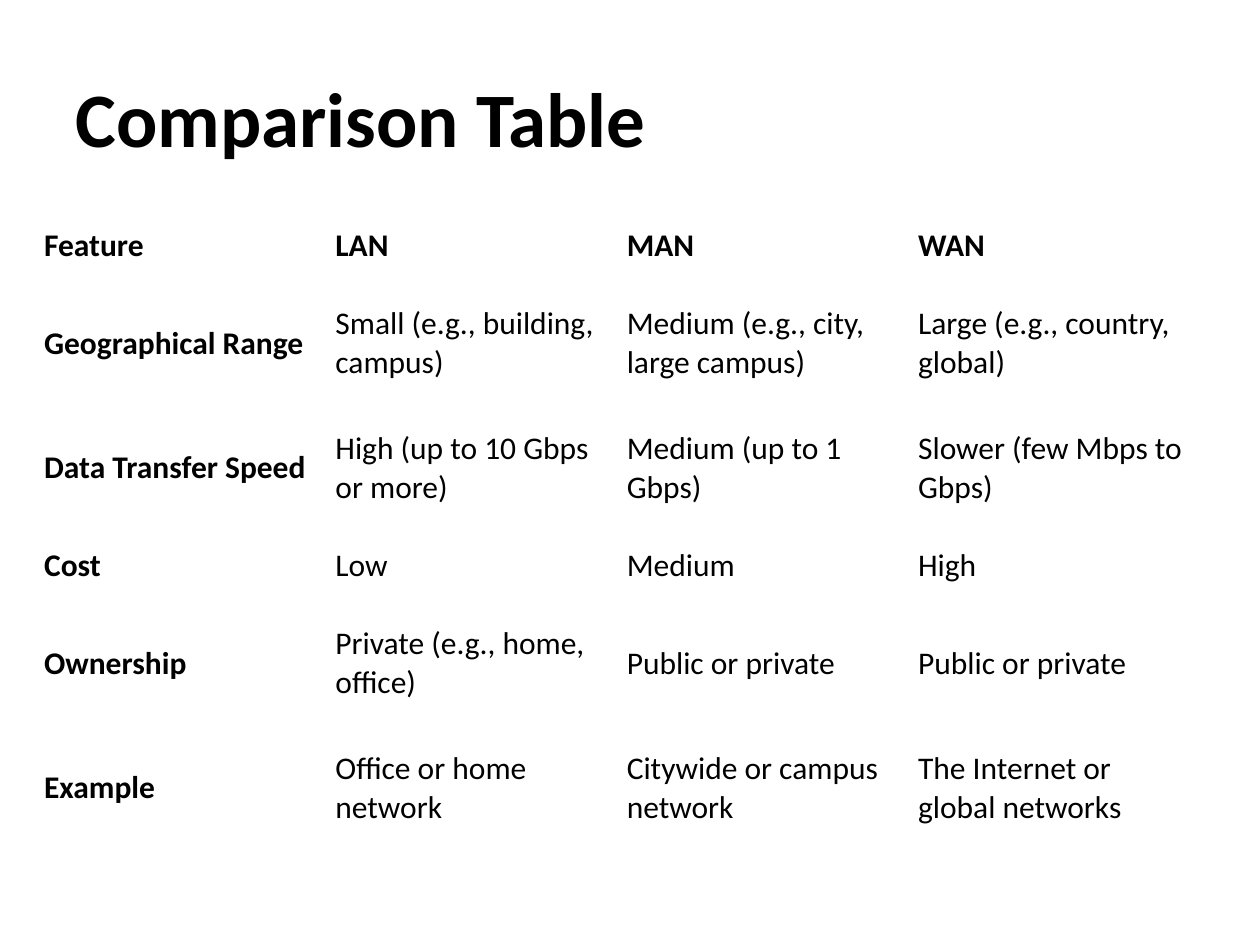
from dataclasses import dataclass

from pptx import Presentation
from pptx.dml.color import RGBColor
from pptx.enum import text
from pptx.util import Inches, Pt


@dataclass(frozen=True)
class Theme:
    font: str = "Calibri"
    ink: RGBColor = RGBColor(0, 0, 0)
    title_size: int = 44
    cell_size: int = 18


@dataclass(frozen=True)
class Row:
    height: float
    cells: tuple[str, ...]
    header: bool = False


THEME = Theme()
SHORT, TALL = 0.56, 0.99
ROWS = (
    Row(SHORT, ("Feature", "LAN", "MAN", "WAN"), header=True),
    Row(TALL, ("Geographical Range", "Small (e.g., building, campus)",
               "Medium (e.g., city, large campus)", "Large (e.g., country, global)")),
    Row(TALL, ("Data Transfer Speed", "High (up to 10 Gbps or more)",
               "Medium (up to 1 Gbps)", "Slower (few Mbps to Gbps)")),
    Row(SHORT, ("Cost", "Low", "Medium", "High")),
    Row(TALL, ("Ownership", "Private (e.g., home, office)",
               "Public or private", "Public or private")),
    Row(TALL, ("Example", "Office or home network",
               "Citywide or campus network", "The Internet or global networks")),
)


def write(tf, content: str, size: int, bold: bool) -> None:
    p = tf.paragraphs[0]
    p.alignment = text.PP_ALIGN.LEFT
    r = p.add_run()
    r.text = content
    for name, value in {"name": THEME.font, "size": Pt(size), "bold": bold}.items():
        setattr(r.font, name, value)
    r.font.color.rgb = THEME.ink


def add_title(s, content: str) -> None:
    sp = s.shapes.title
    box = {"left": 0.5, "top": 0.3, "width": 9, "height": 1.25}
    for name, value in box.items():
        setattr(sp, name, Inches(value))
    sp.text_frame.vertical_anchor = text.MSO_ANCHOR.MIDDLE
    write(sp.text_frame, content, THEME.title_size, True)


def add_comparison(s, rows: tuple[Row, ...]) -> None:
    height = sum(row.height for row in rows)
    table = s.shapes.add_table(len(rows), len(rows[0].cells), Inches(0.25),
                               Inches(1.67), Inches(9.25), Inches(height)).table
    for name in ("first_row", "horz_banding"):
        setattr(table, name, False)
    for i, row in enumerate(rows):
        table.rows[i].height = Inches(row.height)
        for j, content in enumerate(row.cells):
            cell = table.cell(i, j)
            cell.fill.background()
            cell.vertical_anchor = text.MSO_ANCHOR.MIDDLE
            write(cell.text_frame, content, THEME.cell_size, row.header or j == 0)


def main() -> None:
    prs = Presentation()
    prs.slide_width, prs.slide_height = Inches(10), Inches(7.5)
    s = prs.slides.add_slide(prs.slide_layouts[5])
    add_title(s, "Comparison Table")
    add_comparison(s, ROWS)
    prs.save("out.pptx")


if __name__ == "__main__":
    main()
